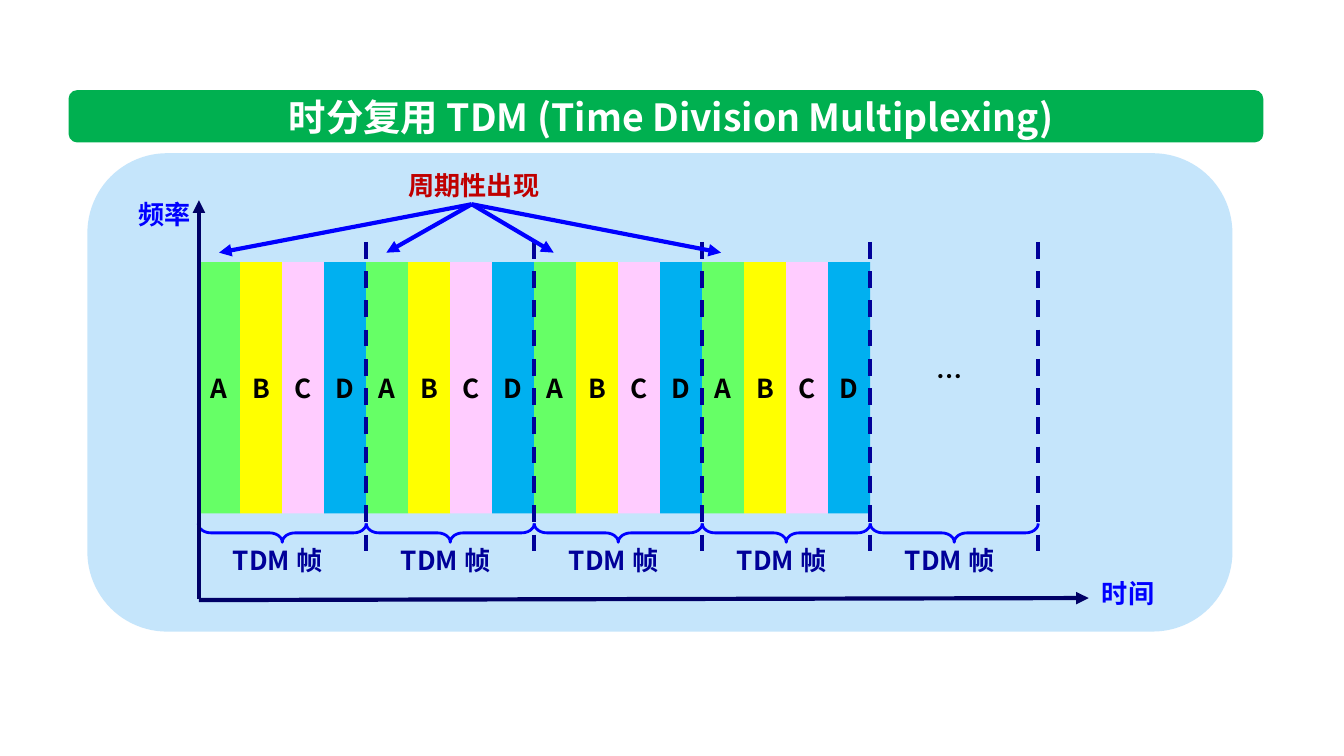
from typing import NamedTuple

from lxml.etree import SubElement
from pptx import Presentation
from pptx.dml.color import RGBColor
from pptx.enum.dml import MSO_LINE
from pptx.enum.shapes import MSO_CONNECTOR, MSO_SHAPE
from pptx.enum.text import MSO_ANCHOR, MSO_AUTO_SIZE, PP_ALIGN
from pptx.oxml.ns import qn
from pptx.util import Emu, Pt

PX = 2286
FONT = "Noto Sans CJK SC"
HUES = {
    "banner": "00B050", "panel": "C5E5FB", "white": "FFFFFF", "black": "000000",
    "axis": "000066", "frame": "000099", "blue": "0000FF", "red": "C00000",
    "A": "66FF66", "B": "FFFF00", "C": "FFCCFF", "D": "00B0F0",
}
LEFT, FRAME, SLOT = 590, 500, 125
FULL, TOTAL = 4, 5


class Box(NamedTuple):
    left: int
    top: int
    width: int
    height: int


class Label(NamedTuple):
    text: str
    box: Box
    hue: str
    lead: float = 0.9


class Line(NamedTuple):
    start: tuple[int, int]
    end: tuple[int, int]
    hue: str
    arrow: bool = True


def px(count: int) -> Emu:
    return Emu(count * PX)


def color(name: str) -> RGBColor:
    return RGBColor.from_string(HUES[name])


def place(box: Box) -> list[Emu]:
    return [px(side) for side in box]


def write(frame, text: str, hue: str, size: int = 14, align=PP_ALIGN.CENTER):
    frame.text = text
    para = frame.paragraphs[0]
    para.alignment = align
    para.font.size = Pt(size)
    para.font.bold = True
    para.font.color.rgb = color(hue)
    para.font.name = FONT
    props = para._p.pPr.find(qn("a:defRPr"))
    SubElement(props, qn("a:ea")).set("typeface", FONT)
    return para


def draw_shape(slide, kind, box: Box, fill: str | None):
    shape = slide.shapes.add_shape(kind, *place(box))
    shape.shadow.inherit = False
    shape.line.fill.background()
    if fill:
        shape.fill.solid()
        shape.fill.fore_color.rgb = color(fill)
    else:
        shape.fill.background()
    return shape


def draw_title(slide, text: str) -> None:
    bar = draw_shape(slide, MSO_SHAPE.ROUNDED_RECTANGLE, Box(204, 268, 3556, 156), "banner")
    title = slide.shapes.title
    title.left, title.top, title.width, title.height = place(Box(548, 268, 2900, 156))
    bar._element.addnext(title._element)
    frame = title.text_frame
    frame.auto_size = MSO_AUTO_SIZE.NONE
    frame.vertical_anchor = MSO_ANCHOR.MIDDLE
    write(frame, text, "white", 20)


def draw_label(slide, label: Label) -> None:
    frame = slide.shapes.add_textbox(*place(label.box)).text_frame
    frame.word_wrap = False
    frame.auto_size = MSO_AUTO_SIZE.SHAPE_TO_FIT_TEXT
    para = write(frame, label.text, label.hue, align=PP_ALIGN.LEFT)
    para.line_spacing = label.lead


def draw_line(slide, line: Line) -> None:
    ends = [px(side) for side in (*line.start, *line.end)]
    item = slide.shapes.add_connector(MSO_CONNECTOR.STRAIGHT, *ends)
    item.line.color.rgb = color(line.hue)
    item.line.width = Pt(2.25)
    if line.arrow:
        SubElement(item.line._get_or_add_ln(), qn("a:tailEnd")).set("type", "triangle")
    else:
        item.line.dash_style = MSO_LINE.DASH
    SubElement(item._element.spPr, qn("a:effectLst"))


def draw_slot(slide, name: str, left: int) -> None:
    slot = draw_shape(slide, MSO_SHAPE.RECTANGLE, Box(left, 780, SLOT, 748), name)
    frame = slot.text_frame
    frame.word_wrap = False
    frame.vertical_anchor = MSO_ANCHOR.MIDDLE
    frame.margin_left = frame.margin_right = 0
    write(frame, name, "black")


def draw_brace(slide, left: int) -> None:
    depth = 56
    mid = left + FRAME // 2
    box = Box(mid - depth // 2, 1336, depth, FRAME)
    brace = draw_shape(slide, MSO_SHAPE.LEFT_BRACE, box, None)
    brace.rotation = 270
    brace.adjustments[0] = 0.67
    brace.line.color.rgb = color("blue")
    brace.line.width = Pt(1.5)


def main() -> None:
    deck = Presentation()
    deck.slide_width, deck.slide_height = px(4000), px(2250)
    slide = deck.slides.add_slide(deck.slide_layouts[5])
    draw_title(slide, "时分复用 TDM (Time Division Multiplexing)")
    draw_shape(slide, MSO_SHAPE.ROUNDED_RECTANGLE, Box(260, 456, 3408, 1424), "panel")

    for turn in range(FULL):
        for spot, name in enumerate("ABCD"):
            draw_slot(slide, name, LEFT + turn * FRAME + spot * SLOT)

    for turn in range(TOTAL):
        left = LEFT + turn * FRAME
        draw_brace(slide, left)
        draw_label(slide, Label("TDM 帧", Box(left + 64, 1612, 376, 124), "frame"))
        edge = left + FRAME
        draw_line(slide, Line((edge, 720), (edge, 1672), "frame", False))

    labels = [
        Label("频率", Box(372, 580, 236, 124), "blue"),
        Label("时间", Box(3240, 1708, 236, 124), "blue"),
        Label("周期性出现", Box(1176, 496, 472, 124), "red"),
        Label("…", Box(2748, 1052, 156, 132), "black", 1.0),
    ]
    for label in labels:
        draw_label(slide, label)

    draw_line(slide, Line((592, 1786), (3240, 1780), "axis"))
    draw_line(slide, Line((592, 1784), (592, 596), "axis"))
    for turn in range(FULL):
        draw_line(slide, Line((1404, 608), (652 + turn * 498, 752), "blue"))

    deck.save("out.pptx")


if __name__ == "__main__":
    main()
